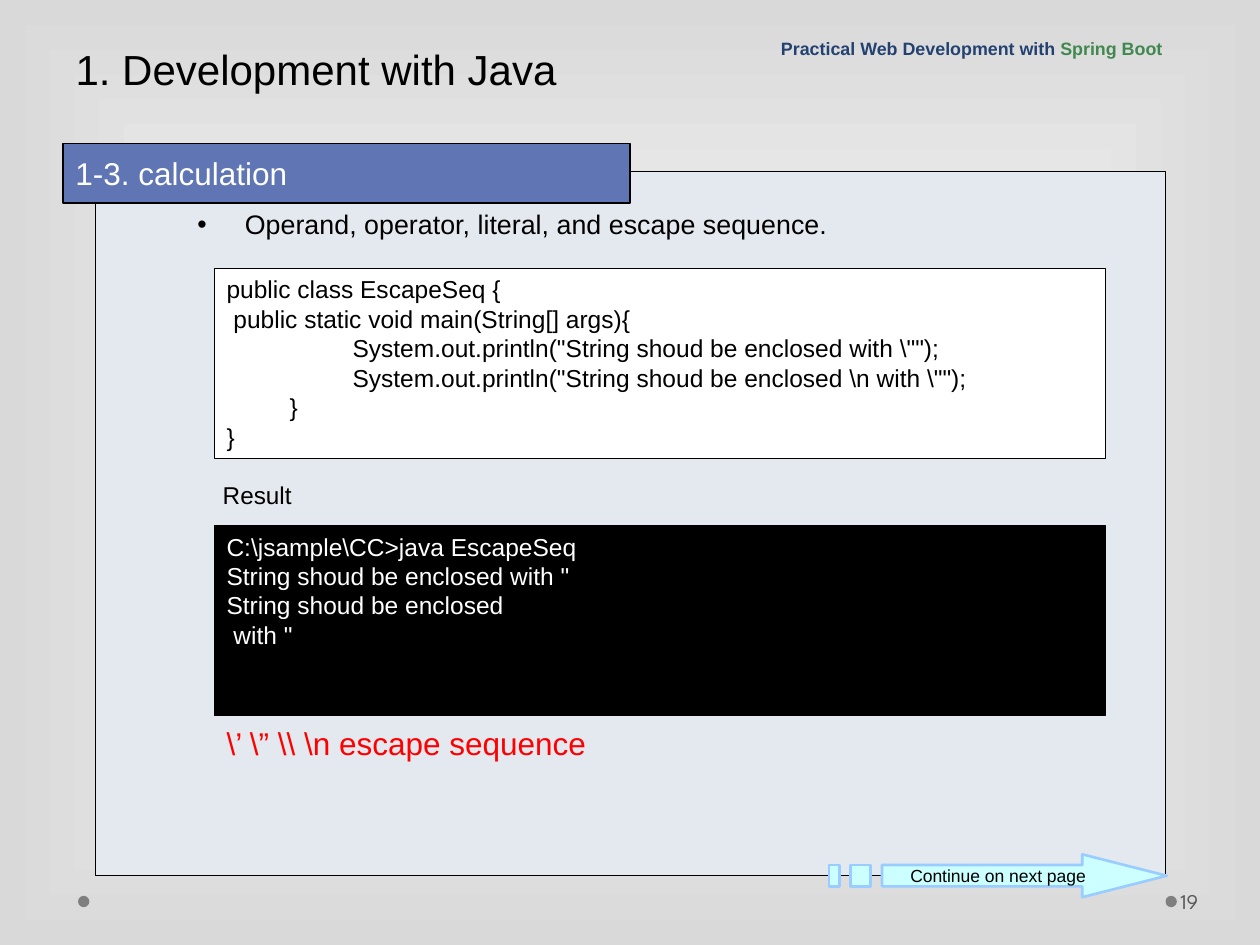
from pptx import Presentation
from pptx import util as u
from pptx.dml.color import RGBColor
from pptx.enum import shapes, text
from pptx.oxml import xmlchemy
from pptx.oxml.ns import qn

Pt = u.Pt
LEFT, TOP, MIDDLE = text.PP_ALIGN.LEFT, text.MSO_ANCHOR.TOP, text.MSO_ANCHOR.MIDDLE
BOTTOM = text.MSO_ANCHOR.BOTTOM
CODE = '''public class EscapeSeq {
 public static void main(String[] args){
\t\tSystem.out.println("String shoud be enclosed with \\"");
\t\tSystem.out.println("String shoud be enclosed \\n with \\"");
\t}
}'''
OUTPUT = '''C:\\jsample\\CC>java EscapeSeq
String shoud be enclosed with "
String shoud be enclosed
 with "'''


def rgb(value):
    """Return the colour for a hex string."""
    return RGBColor.from_string(value)


def element(parent, tag, **attrs):
    """Append a DrawingML element with attributes to its parent."""
    el = xmlchemy.OxmlElement(tag)
    for name, value in attrs.items():
        el.set(name, str(value))
    parent.append(el)
    return el


def paint(sp, fill, line=None, width=0.75):
    """Give a shape a flat fill, an optional line and no shadow."""
    sp.shadow.inherit = False
    sp.fill.solid()
    sp.fill.fore_color.rgb = rgb(fill)
    if line:
        sp.line.color.rgb = rgb(line)
        sp.line.width = Pt(width)
    else:
        sp.line.fill.background()


def write(sp, content, size, color, anchor=TOP, align=LEFT, spacing=None,
          wrap=True, font="Arial", tab=None):
    """Fill a shape with text, one paragraph a line."""
    tf = sp.text_frame
    tf.text = content
    tf.word_wrap = wrap
    tf.auto_size = text.MSO_AUTO_SIZE.NONE
    tf.vertical_anchor = anchor
    for p in tf.paragraphs:
        p.alignment = align
        if spacing:
            p.line_spacing = spacing
        if tab:
            tabs = element(p._p.get_or_add_pPr(), "a:tabLst")
            for i in range(1, 4):
                element(tabs, "a:tab", pos=Pt(tab * i), algn="l")
        for r in p.runs:
            r.font.size = Pt(size)
            r.font.name = font
            r.font.color.rgb = rgb(color)
    return tf


def add_shape(s, kind, x, y, w, h, fill, line=None, width=0.75):
    """Add a painted preset shape."""
    sp = s.shapes.add_shape(kind, Pt(x), Pt(y), Pt(w), Pt(h))
    paint(sp, fill, line, width)
    return sp


def add_text(s, x, y, w, h, content, size, color, **style):
    """Add a text box and return its text frame."""
    sp = s.shapes.add_textbox(Pt(x), Pt(y), Pt(w), Pt(h))
    return write(sp, content, size, color, **style)


def background(s):
    """Shade the slide from a white centre to grey edges."""
    fill = s.background.fill
    fill.gradient()
    for stop, color, position in zip(fill.gradient_stops, ("FFFFFF", "D9D9D9"), (0, 1)):
        stop.color.rgb = rgb(color)
        stop.position = position
    grad = s._element.find(".//" + qn("a:gradFill"))
    grad.remove(grad.find(qn("a:lin")))
    shade = element(grad, "a:path", path="rect")
    element(shade, "a:fillToRect", l=50000, t=50000, r=50000, b=50000)


def title(s, x, y, w, h):
    """Place the slide title."""
    sp = s.shapes.title
    sp.left, sp.top, sp.width, sp.height = Pt(x), Pt(y), Pt(w), Pt(h)
    write(sp, "1. Development with Java", 24, "000000", anchor=BOTTOM, spacing=Pt(58))


def course_name(s, x, y, w, h):
    """Place the two-coloured course name."""
    tf = add_text(s, x, y, w, h, "Practical Web Development with ", 10.2, "234271",
                  anchor=BOTTOM, spacing=0.9)
    p = tf.paragraphs[0]
    r = p.add_run()
    r.text = "Spring Boot"
    r.font.size = Pt(10.2)
    r.font.name = "Arial"
    r.font.color.rgb = rgb("40884F")
    for r in p.runs:
        r.font.bold = True


def footer(s, x, y, w, number):
    """Place the two footer dots and the page number."""
    for left in (x, x + w):
        add_shape(s, shapes.MSO_SHAPE.OVAL, left, y, 6.5, 6.5, "7F7F7F")
    tf = add_text(s, x + w + 6.5, y - 11.5, 44, 28.8, number, 12, "595959",
                  anchor=MIDDLE, font="League Spartan")
    tf.margin_left = Pt(2)


def bullet_line(s, x, y, w, h, content):
    """Place a single bulleted line."""
    tf = add_text(s, x, y, w, h, content, 15.3, "000000", spacing=0.9)
    pPr = tf.paragraphs[0]._p.get_or_add_pPr()
    pPr.set("marL", str(Pt(27)))
    pPr.set("indent", str(-Pt(27)))
    color = element(pPr, "a:buClr")
    element(color, "a:srgbClr", val="000000")
    element(pPr, "a:buFont", typeface="Arial")
    element(pPr, "a:buChar", char="•")


def listing(s, x, y, w, h, content, fill, color):
    """Place a framed block of code or console output."""
    sp = add_shape(s, shapes.MSO_SHAPE.RECTANGLE, x, y, w, h, fill, "000000", 0.25)
    write(sp, content, 14, color, wrap=False, tab=36)


def lesson(s, x, y, w, h):
    """Place the panel with its heading, listings and note."""
    rect = shapes.MSO_SHAPE.RECTANGLE
    add_shape(s, rect, x, y, w, h, "E4E9EF", "000000")
    heading = add_shape(s, rect, x - 18.7, y - 15.9, 324, 34, "6076B4", "000000")
    write(heading, "1-3. calculation", 18, "FFFFFF", anchor=MIDDLE)
    bullet_line(s, x + 51.1, y + 19.4, 487, 26.6,
                "Operand, operator, literal, and escape sequence.")
    inner = x + 67.7
    listing(s, inner, y + 55.4, 509, 108.7, CODE, "FFFFFF", "000000")
    add_text(s, inner - 2.2, y + 176.4, 480, 24.5, "Result", 13.9, "000000", spacing=0.8)
    listing(s, inner, y + 202.3, 509, 108.7, OUTPUT, "000000", "FFFFFF")
    add_text(s, inner, y + 312.5, 480, 38, "\\’ \\” \\\\ \\n escape sequence", 18, "FF0000")


def next_arrow(s, x, y, w, h):
    """Place the striped arrow that leads to the next page."""
    top, bottom, neck, tail = h / 4, h * 3 / 4, w * 0.75, 30.2
    outlines = [[(neck, 0), (neck, top), (tail, top), (tail, bottom),
                 (neck, bottom), (neck, h), (w, h / 2)]]
    for left, right in ((12.2, 23.8), (0, 5.8)):
        outlines.append([(left, top), (left, bottom), (right, bottom), (right, top)])
    outlines = [[(Pt(x + px), Pt(y + py)) for px, py in points] for points in outlines]
    fb = s.shapes.build_freeform(*outlines[0][0])
    for i, points in enumerate(outlines):
        if i:
            fb.move_to(*points[0])
        fb.add_line_segments(points[1:], close=True)
    sp = fb.convert_to_shape()
    paint(sp, "CCFFFF", "99CCFF", 1.5)
    write(sp, "Continue on next page", 10, "000000", anchor=MIDDLE,
          align=text.PP_ALIGN.CENTER, wrap=False)


def main():
    """Build the slide and save it."""
    prs = Presentation()
    prs.slide_width, prs.slide_height = Pt(720), Pt(540)
    s = prs.slides.add_slide(prs.slide_layouts[5])
    background(s)
    footer(s, 44.6, 511.9, 621.4, "19")
    title(s, 36, 0, 648, 57)
    lesson(s, 54.7, 97.9, 611.3, 402.5)
    course_name(s, 439.2, 17.3, 280.8, 20)
    next_arrow(s, 473.8, 488.2, 192.9, 24.5)
    prs.save("out.pptx")


if __name__ == "__main__":
    main()
